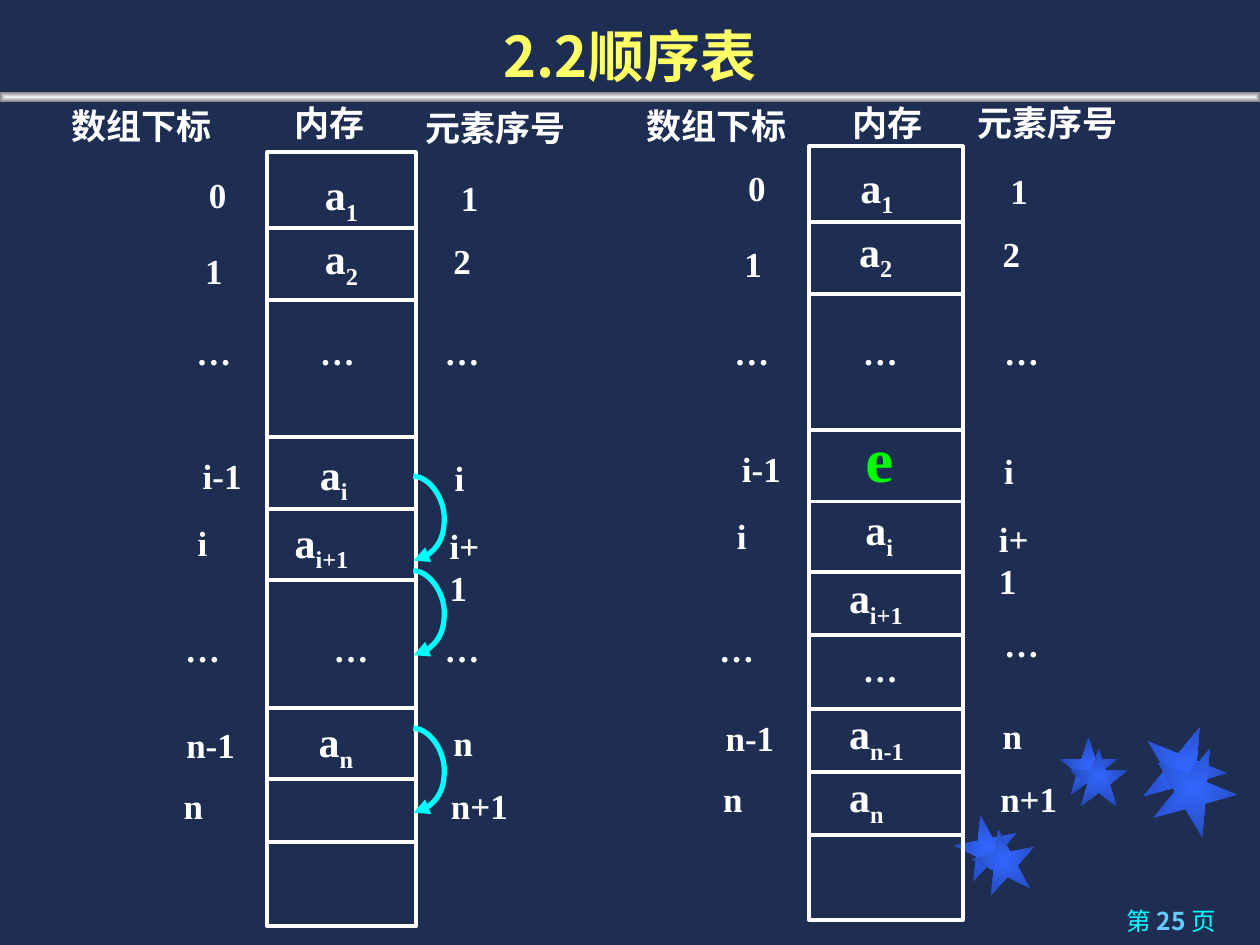
from lxml.etree import SubElement
from pptx import Presentation
from pptx.dml.color import RGBColor
from pptx.enum.shapes import MSO_CONNECTOR as Link, MSO_SHAPE as Form
from pptx.enum.text import MSO_ANCHOR as Anchor, MSO_AUTO_SIZE as Fit, PP_ALIGN as Align
from pptx.oxml.ns import qn
from pptx.util import Inches, Pt

rgb = RGBColor.from_string
WHITE, CYAN = "FFFFFF", "00FFFF"
SERIF, SANS = "Times New Roman", "Noto Sans CJK SC"

deck = Presentation()
deck.slide_width, deck.slide_height = Inches(10), Inches(7.5)
slide = deck.slides.add_slide(deck.slide_layouts[6])
slide.background.fill.solid()
slide.background.fill.fore_color.rgb = rgb("1E2E53")
shapes = slide.shapes

# Grid of 100 columns by 75 rows
COL, ROW = deck.slide_width / 100, deck.slide_height / 75


def area(x, y, w, h):
    return int(x * COL), int(y * ROW), int(w * COL), int(h * ROW)


def write(parts, x, y, w, h, size=20, color=WHITE, face=SERIF, wrap=False, fit=True):
    """Add a bold text box; every part after the first is a subscript."""
    box = shapes.add_textbox(*area(x, y, w, h))
    frame = box.text_frame
    frame.word_wrap = wrap
    frame.auto_size = Fit.SHAPE_TO_FIT_TEXT if fit else Fit.NONE
    for nth, part in enumerate(parts):
        run = frame.paragraphs[0].add_run()
        run.text = part
        font = run.font
        font.size, font.bold, font.name = Pt(size), True, face
        font.color.rgb = rgb(color)
        props = run._r.get_or_add_rPr()
        SubElement(props, qn("a:ea")).set("typeface", SANS)
        if nth:
            props.set("baseline", "-25000")
    return frame


# Stars and title rule, shaded from the centre
BLUE, GREY = ("3366FF", "2449B6"), ("F2F2F2", "808080")
for form, x, y, w, h, turn, tones in [
    (Form.STAR_5_POINT, 75.8, 64.7, 5, 5, 349, BLUE),
    (Form.STAR_5_POINT, 84.1, 58.5, 4.6, 4.6, 0, BLUE),
    (Form.STAR_5_POINT, 90.6, 57.5, 6.7, 6.7, 22, BLUE),
    (Form.STAR_5_POINT, 77.2, 65.8, 5, 5, 349, BLUE),
    (Form.STAR_5_POINT, 84.9, 59.4, 4.6, 4.6, 0, BLUE),
    (Form.STAR_5_POINT, 91.4, 59.2, 6.7, 6.7, 22, BLUE),
    (Form.RECTANGLE, 0, 7.3, 100, 0.8, 0, GREY),
]:
    item = shapes.add_shape(form, *area(x, y, w, h))
    item.rotation = turn
    item.shadow.inherit = False
    item.line.fill.background()
    item.fill.gradient()
    for stop, tone in zip(item.fill.gradient_stops, tones):
        stop.color.rgb = rgb(tone)
    grad = item._element.spPr.find(qn("a:gradFill"))
    grad.remove(grad.find(qn("a:lin")))
    focus = SubElement(SubElement(grad, qn("a:path"), {"path": "shape"}), qn("a:fillToRect"))
    for side in "ltrb":
        focus.set(side, "50000")

# Title and page number
head = write(["2.2顺序表"], 0, 0, 100, 7.5, 32, "FFFF66", SANS, True, False)
head.vertical_anchor = Anchor.BOTTOM
head.paragraphs[0].alignment = Align.CENTER
foot = write(["第 ", "25 ", "页"], 71.2, 71.4, 26.3, 3.6, 14, CYAN, SANS, True, False)
foot.paragraphs[0].alignment = Align.RIGHT
for run, bold in zip(foot.paragraphs[0].runs, (False, True, False)):
    run.font.bold = bold
    run._r.rPr.attrib.pop("baseline", None)
foot.paragraphs[0].runs[1].font.color.rgb = rgb("66CCFF")

# Memory blocks: frame, then the rows that divide it
for x, y, w, cuts in [
    (21.2, 12.1, 11.8, [18.1, 23.8, 34.7, 40.4, 46, 56.2, 61.8, 66.8]),
    (64.2, 11.6, 12.2, [17.6, 23.3, 34.1, 39.8, 45.4, 50.4, 56.3, 61.3, 66.3]),
]:
    block = shapes.add_shape(Form.RECTANGLE, *area(x, y, w, 61.4))
    block.shadow.inherit = False
    block.fill.background()
    rules = [shapes.add_connector(Link.STRAIGHT, *area(x, cut, x + w, cut)) for cut in cuts]
    for rule in rules:
        SubElement(rule._element.spPr, qn("a:effectLst"))
    for part in [block, *rules]:
        part.line.color.rgb = rgb(WHITE)
        part.line.width = Pt(2.25)

# Column headings
for text, x, y, w, wrap in [
    ("数组下标", 4.7, 7.8, 14.9, True), ("内存", 22.4, 7.6, 8.9, True),
    ("元素序号", 32.8, 8, 14.1, True), ("数组下标", 50.3, 7.8, 13.7, True),
    ("内存", 66.7, 7.6, 7.6, False), ("元素序号", 76.6, 7.6, 13.2, False),
]:
    write([text], x, y, w, 4.3, wrap=wrap)

# Array indexes and element numbers, the same beside both blocks
index = [("0", 15.6, 13.3, 3.4), ("1", 15.3, 19.3, 3.4), ("i-1", 15.1, 35.6, 5.1),
         ("i", 14.7, 40.9, 2.8), ("n-1", 13.8, 56.9, 5.9), ("n", 13.6, 61.8, 3.6)]
order = [("1", 35.6, 13.5, 3.4), ("2", 35, 18.5, 3.4), ("i", 35.1, 35.7, 2.8),
         ("i+1", 34.7, 41.1, 5.7), ("n", 35, 56.8, 3.6), ("n+1", 34.8, 61.8, 6.5)]
for labels, shift in [(index, 42.8), (order, 43.6)]:
    for dx, dy in [(0, 0), (shift, -0.55)]:
        for text, x, y, w in labels:
            write([text], x + dx, y + dy, w, 4.3)

# Elements in the cells
for sub, x, y, w in [
    ("1", 24.8, 12.9, 4.8), ("2", 24.8, 18, 4.8), ("i", 24.4, 35.1, 4.3),
    ("i+1", 22.4, 40.5, 6.7), ("n", 24.3, 56.3, 4.9),
    ("1", 67.3, 12.3, 4.8), ("2", 67.2, 17.4, 4.8), ("i", 67.7, 39.5, 4.3),
    ("i+1", 66.4, 44.9, 6.7), ("n-1", 66.4, 55.7, 6.8), ("n", 66.4, 60.7, 4.9),
]:
    write(["a", sub], x, y, w, 5, 24)
write(["e"], 67.7, 32.8, 4.2, 7, 36, "00FF00")

# Dots for the rows left out
for x, y in [(14.6, 25.7), (24.4, 25.7), (34.3, 25.7), (57.3, 25.7), (67.5, 25.7), (78.7, 25.7),
             (13.7, 49.3), (25.5, 49.3), (34.3, 49.3), (56.1, 49.3), (67.5, 50.9), (78.7, 48.9)]:
    write(["…"], x, y, 4.8, 4.3)

# Arrows that move each element one cell down
for y in (57.8, 45.3, 37.8):
    arrow = shapes.add_connector(Link.CURVE, *area(32.8, y, 32.82, y + 6.7))
    arrow.line.color.rgb = rgb(CYAN)
    arrow.line.width = Pt(3)
    props = arrow._element.spPr
    SubElement(props.find(qn("a:ln")), qn("a:tailEnd"), {"type": "triangle"})
    SubElement(props, qn("a:effectLst"))
    # The bend lies 2.5 columns out, 125 times the arrow's own width
    bend = props.find(qn("a:prstGeom")).find(qn("a:avLst"))
    SubElement(bend, qn("a:gd"), {"name": "adj1", "fmla": "val 12500000"})

deck.save("out.pptx")
